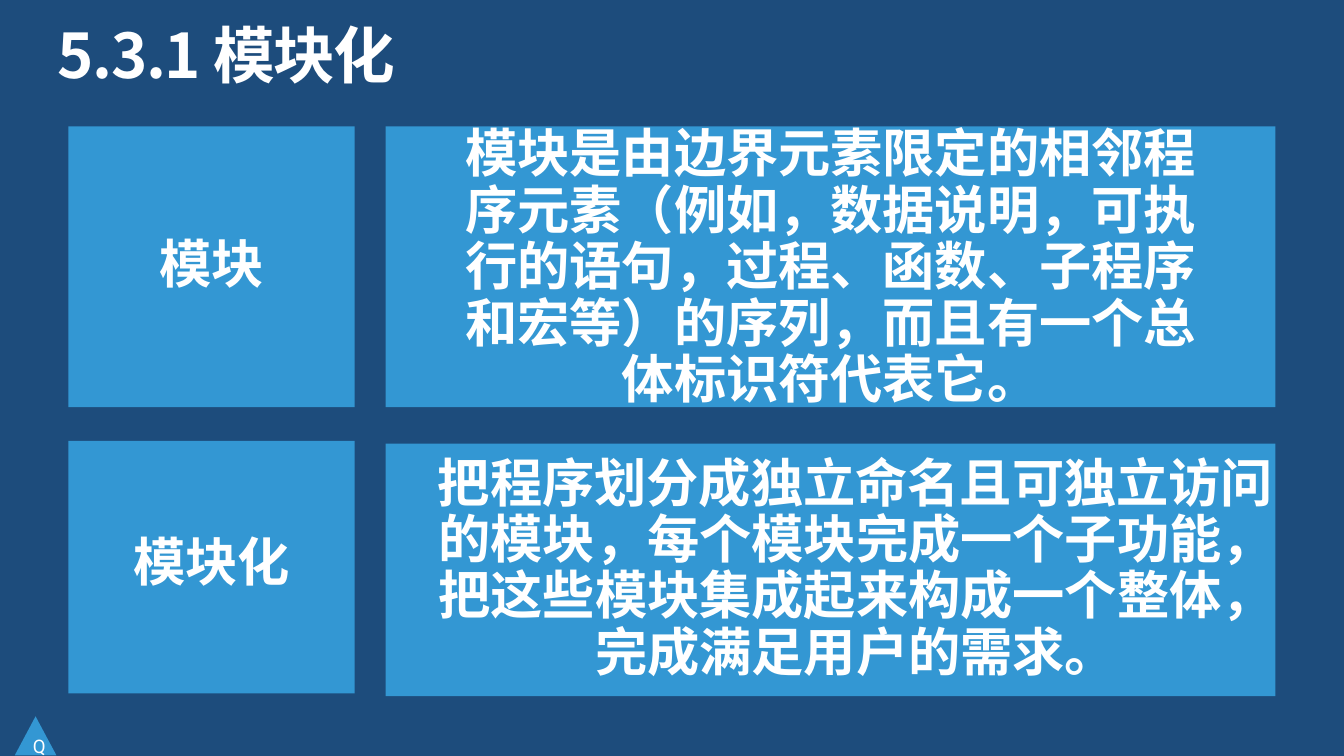
from pptx import Presentation
from pptx.dml.color import RGBColor
from pptx.enum import shapes, text
from pptx.oxml import parse_xml
from pptx.oxml.ns import nsdecls
from pptx.util import Inches, Pt

# Content: each row holds a term and its definition;
# top is the panel's, label is the top and height of its text
TITLE = "5.3.1 模块化"
MARKER = "Q"
ROWS = [
    dict(height=2.09,
         term=dict(words="模块", top=0.94, label=(1.77, 0.42), inset=0.17),
         definition=dict(
             words="模块是由边界元素限定的相邻程序元素（例如，数据说明，可执行的语句，"
                   "过程、函数、子程序和宏等）的序列，而且有一个总体标识符代表它。",
             top=0.94, label=(0.94, 2.12), inset=0.52)),
    dict(height=1.88,
         term=dict(words="模块化", top=3.28, label=(3.99, 0.42), inset=0.17),
         definition=dict(
             words="把程序划分成独立命名且可独立访问的模块，每个模块完成一个子功能，"
                   "把这些模块集成起来构成一个整体，完成满足用户的需求。",
             top=3.3, label=(3.39, 1.7), inset=0, indent=(0.38, -0.01))),
]

THEME = dict(
    background=RGBColor(0x1D, 0x4C, 0x7C),
    panel=RGBColor(0x33, 0x97, 0xD3),
    ink=RGBColor(0xFF, 0xFF, 0xFF),
    font="Noto Sans CJK SC", marker_font="Roboto",
    title_size=33, body_size=28, marker_size=10,
)
COLUMNS = dict(term=(0.51, 2.13), definition=(2.87, 6.62))  # left, width


def write(holder, words, size=THEME["body_size"], font=THEME["font"], bold=True,
          align=text.PP_ALIGN.CENTER, anchor=text.MSO_ANCHOR.MIDDLE,
          spacing=0.9, margins=(0, 0), indent=None, tracking=None):
    frame = holder.text_frame
    frame.word_wrap = True
    frame.auto_size = text.MSO_AUTO_SIZE.NONE
    frame.vertical_anchor = anchor
    frame.margin_left = frame.margin_right = Inches(margins[0])
    frame.margin_top = frame.margin_bottom = Inches(margins[1])
    paragraph = frame.paragraphs[0]
    paragraph.alignment = align
    paragraph.line_spacing = spacing
    if indent:
        properties = paragraph._p.get_or_add_pPr()
        properties.set("marL", str(Inches(indent[0])))
        properties.set("indent", str(Inches(indent[1])))
    run = paragraph.add_run()
    run.text = words
    run.font.name, run.font.size, run.font.bold = font, Pt(size), bold
    run.font.color.rgb = THEME["ink"]
    # East Asian typeface and letter spacing
    run_properties = run._r.get_or_add_rPr()
    run_properties.append(parse_xml(f'<a:ea {nsdecls("a")} typeface="{font}"/>'))
    if tracking is not None:
        run_properties.set("spc", str(int(tracking * 100)))


def add_panel(slide, box, kind=shapes.MSO_SHAPE.RECTANGLE):
    panel = slide.shapes.add_shape(kind, *map(Inches, box))
    panel.shadow.inherit = False
    panel.fill.solid()
    panel.fill.fore_color.rgb = THEME["panel"]
    panel.line.fill.background()
    return panel


def add_card(slide, column, height, card):
    left, width = column
    add_panel(slide, (left, card["top"], width, height))
    label_top, label_height = card["label"]
    inset = card["inset"]
    label = slide.shapes.add_textbox(
        *map(Inches, (left + inset, label_top, width - 2 * inset, label_height)))
    write(label, card["words"], indent=card.get("indent"))


def main():
    deck = Presentation()
    deck.slide_width = Inches(10)
    deck.slide_height = deck.slide_width * 9 // 16
    slide = deck.slides.add_slide(deck.slide_layouts[5])
    slide.background.fill.solid()
    slide.background.fill.fore_color.rgb = THEME["background"]

    # Title
    title = slide.shapes.title
    title.left, title.top, title.width, title.height = map(
        Inches, (0.43, 0.19, 9.15, 0.5))
    write(title, TITLE, size=THEME["title_size"], align=text.PP_ALIGN.LEFT,
          anchor=text.MSO_ANCHOR.TOP, tracking=-0.8)

    # Terms on the left, definitions on the right
    for row in ROWS:
        for part, column in COLUMNS.items():
            add_card(slide, column, row["height"], row[part])

    # Corner marker
    marker = add_panel(slide, (0.11, 5.33, 0.31, 0.29),
                       shapes.MSO_SHAPE.ISOSCELES_TRIANGLE)
    write(marker, MARKER, size=THEME["marker_size"], font=THEME["marker_font"],
          bold=False, spacing=1.0, margins=(0.1, 0.05))

    deck.save("out.pptx")


if __name__ == "__main__":
    main()
